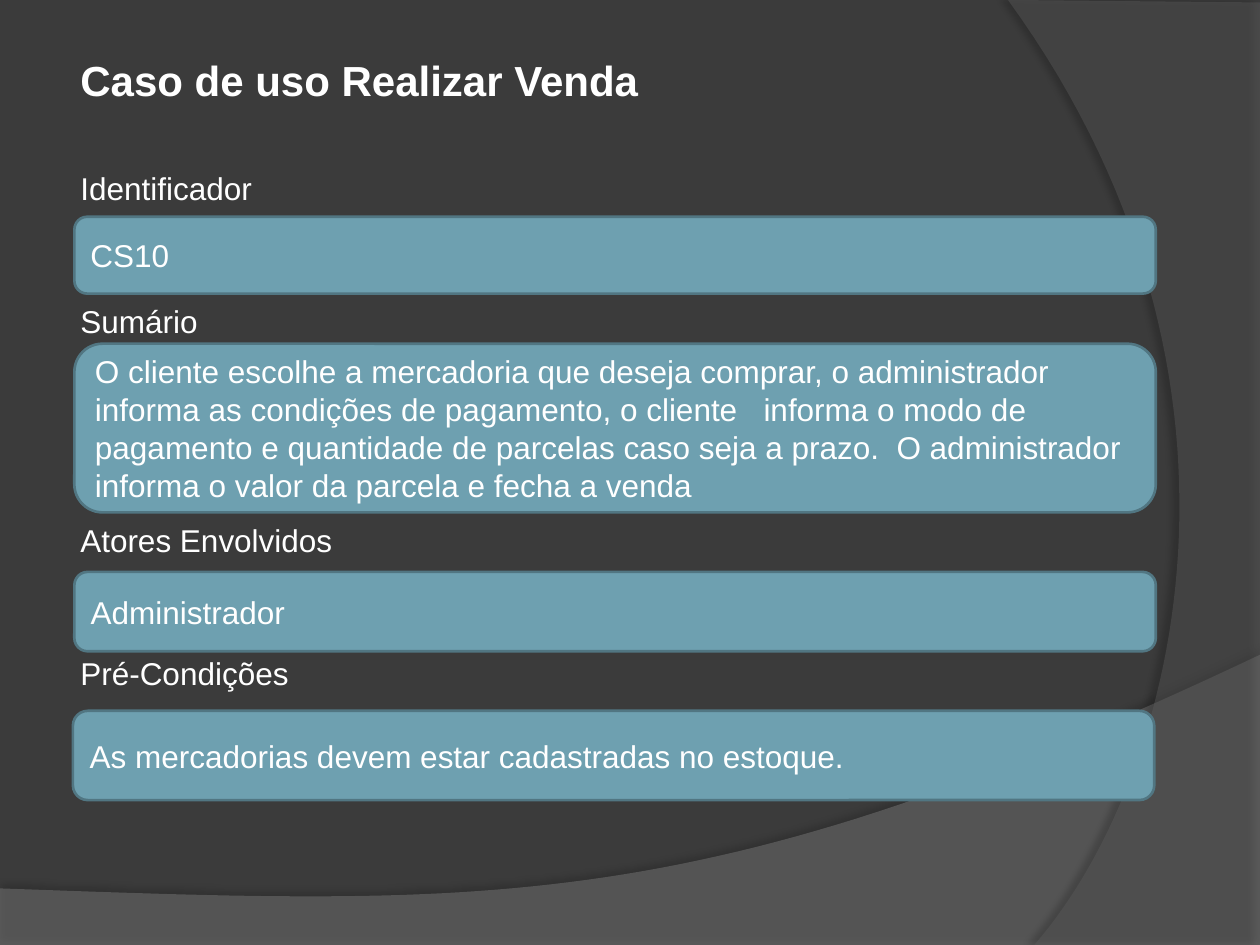
from dataclasses import dataclass

from lxml import etree
from pptx import Presentation
from pptx import util as u
from pptx.dml.color import RGBColor
from pptx.enum import shapes, text
from pptx.oxml import ns

FONT = "Arial"
WHITE = "FFFFFF"
BACKGROUND = "3B3B3B"
BOX_FILL, BOX_LINE = "6EA0B0", "517682"
TEXT_LEFT, BOX_LEFT, BOX_WIDTH = 1.62, 1.5, 21.8
LABEL_HEIGHT = 0.9
CURVE_STEPS = 60

Point = tuple[float, float]


@dataclass
class Field:
    label: str
    label_middle: float
    content: str
    top: float
    height: float
    left: float = BOX_LEFT


@dataclass
class Swoosh:
    """A closed outline: straight corners, then one Bezier curve from the last."""
    corners: list[Point]
    curve: tuple[Point, Point, Point]
    color: str
    opacity: int
    shadow_opacity: int
    shadow_distance: float
    shadow_angle: int


SWOOSHES = [
    Swoosh([(0, 17.91), (0, 19.05), (25.4, 19.05), (25.4, 13.2)],
           ((14.2, 18.52), (9.93, 18.26), (0, 17.91)), "7F7F7F", 45, 35, 3.5, 270),
    Swoosh([(25.4, 0.05), (25.4, 19.05), (20.85, 19.05)],
           ((23.75, 15.72), (25.86, 7.62), (20.32, 0)), "5E5E5E", 40, 45, 4, 180),
]

FIELDS = [
    Field("Identificador", 3.79, "CS10", 4.37, 1.55),
    Field("Sumário", 6.46,
          "O cliente escolhe a mercadoria que deseja comprar, o administrador "
          "informa as condições de pagamento, o cliente   informa o modo de "
          "pagamento e quantidade de parcelas caso seja a prazo.  O administrador "
          "informa o valor da parcela e fecha a venda", 6.93, 3.4),
    Field("Atores Envolvidos", 10.89, "Administrador", 11.53, 1.6),
    Field("Pré-Condições", 13.57,
          "As mercadorias devem estar cadastradas no estoque.", 14.33, 1.8, 1.47),
]


def rgb(value: str) -> RGBColor:
    return RGBColor.from_string(value)


def bezier(start: Point, curve: tuple[Point, Point, Point]) -> list[Point]:
    points = (start, *curve)
    result = []
    for step in range(1, CURVE_STEPS + 1):
        t = step / CURVE_STEPS
        weights = ((1 - t) ** 3, 3 * t * (1 - t) ** 2, 3 * t * t * (1 - t), t ** 3)
        result.append(tuple(sum(w * p[axis] for w, p in zip(weights, points))
                            for axis in (0, 1)))
    return result


def add_alpha(color_element, percent: int) -> None:
    etree.SubElement(color_element, ns.qn("a:alpha"), val=str(percent * 1000))


def draw_swoosh(slide, swoosh: Swoosh) -> None:
    outline = swoosh.corners + bezier(swoosh.corners[-1], swoosh.curve)
    points = [(u.Cm(x), u.Cm(y)) for x, y in outline]
    builder = slide.shapes.build_freeform(*points[0])
    builder.add_line_segments(points[1:], close=True)
    wave = builder.convert_to_shape()
    wave.fill.solid()
    wave.fill.fore_color.rgb = rgb(swoosh.color)
    wave.line.fill.background()
    wave.shadow.inherit = False
    properties = wave.element.spPr
    add_alpha(properties.find(".//" + ns.qn("a:srgbClr")), swoosh.opacity)
    # Soft shadow along the curved edge
    shadow = etree.SubElement(
        properties.find(ns.qn("a:effectLst")), ns.qn("a:outerShdw"),
        blurRad=str(u.Pt(4)), dist=str(u.Pt(swoosh.shadow_distance)),
        dir=str(swoosh.shadow_angle * 60000), algn="ctr", rotWithShape="0")
    shadow_color = etree.SubElement(shadow, ns.qn("a:srgbClr"), val="000000")
    add_alpha(shadow_color, swoosh.shadow_opacity)


def write(frame, content: str, size: int, bold: bool = False) -> None:
    frame.text = content
    frame.word_wrap = True
    frame.vertical_anchor = text.MSO_ANCHOR.MIDDLE
    paragraph = frame.paragraphs[0]
    paragraph.alignment = text.PP_ALIGN.LEFT
    for run in paragraph.runs:
        run.font.name = FONT
        run.font.size = u.Pt(size)
        run.font.bold = bold
        run.font.color.rgb = rgb(WHITE)


def draw_field(slide, field: Field) -> None:
    label = slide.shapes.add_textbox(
        u.Cm(TEXT_LEFT), u.Cm(field.label_middle - LABEL_HEIGHT / 2),
        u.Cm(12), u.Cm(LABEL_HEIGHT))
    label.text_frame.margin_left = 0
    label.text_frame.margin_top = label.text_frame.margin_bottom = 0
    write(label.text_frame, field.label, 18)

    box = slide.shapes.add_shape(
        shapes.MSO_SHAPE.ROUNDED_RECTANGLE, u.Cm(field.left), u.Cm(field.top),
        u.Cm(BOX_WIDTH), u.Cm(field.height))
    box.shadow.inherit = False
    box.fill.solid()
    box.fill.fore_color.rgb = rgb(BOX_FILL)
    box.line.color.rgb = rgb(BOX_LINE)
    box.line.width = u.Pt(1.5)
    write(box.text_frame, field.content, 18)


def main() -> None:
    deck = Presentation()
    deck.slide_width, deck.slide_height = u.Cm(25.4), u.Cm(19.05)
    slide = deck.slides.add_slide(deck.slide_layouts[5])
    slide.background.fill.solid()
    slide.background.fill.fore_color.rgb = rgb(BACKGROUND)

    # Curved backdrop
    for swoosh in SWOOSHES:
        draw_swoosh(slide, swoosh)

    # Heading
    heading = slide.shapes.title
    heading.left, heading.top = u.Cm(TEXT_LEFT), u.Cm(1)
    heading.width, heading.height = u.Cm(18), u.Cm(1.2)
    heading.text_frame.margin_left = 0
    write(heading.text_frame, "Caso de uso Realizar Venda", 24, bold=True)

    # Use case fields
    for field in FIELDS:
        draw_field(slide, field)

    deck.save("out.pptx")


if __name__ == "__main__":
    main()
